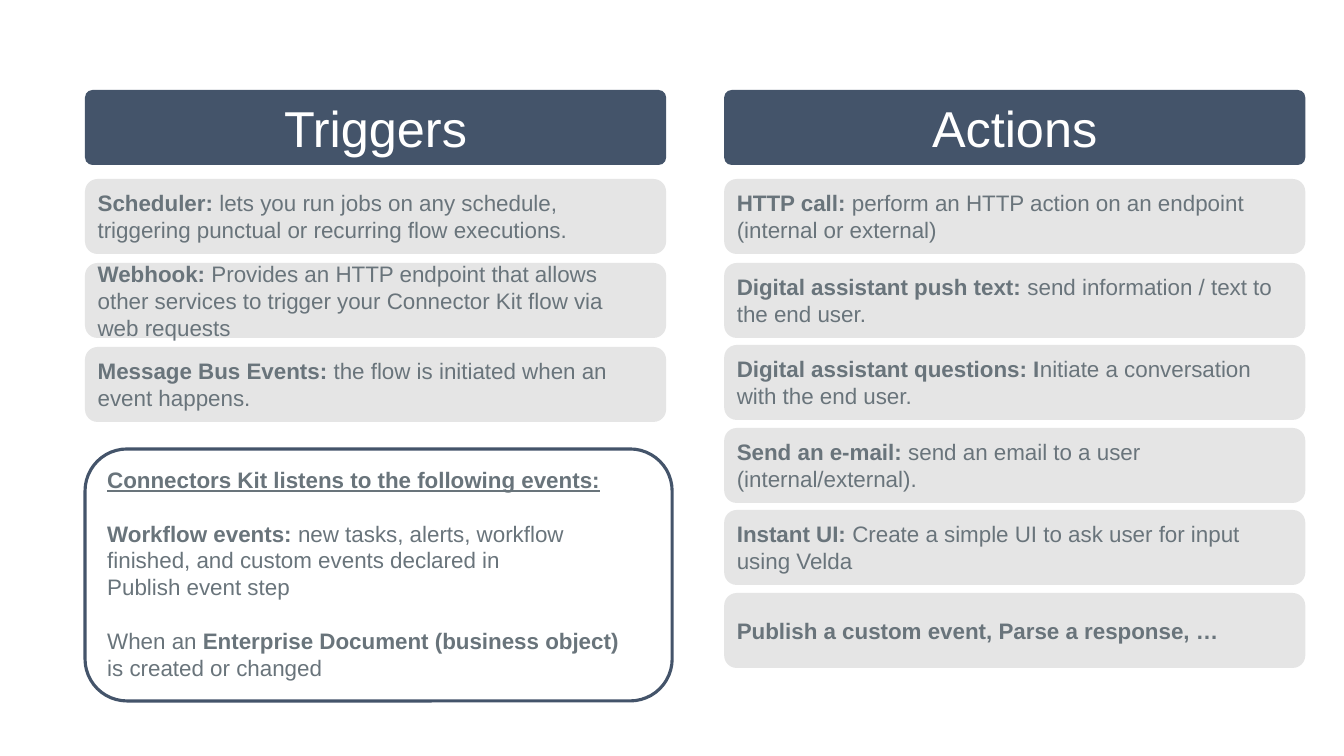
from lxml import etree
from pptx import Presentation
from pptx import util as u
from pptx.dml.color import RGBColor
from pptx.enum import shapes, text
from pptx.oxml import ns

# Content: each run is (text, style); lengths are px, sizes are points
BOLD, PLAIN, UNDERLINED = "bold", "plain", "underlined"
COLUMNS = [
    ("Triggers", 85, [
        (179, [("Scheduler: ", BOLD),
               ("lets you run jobs on any schedule, triggering punctual or recurring flow executions.", PLAIN)]),
        (263, [("Webhook: ", BOLD),
               ("Provides an HTTP endpoint that allows other services to trigger your Connector Kit flow via \n"
                "web requests", PLAIN)]),
        (347, [("Message Bus Events: ", BOLD),
               ("the flow is initiated when an event happens.", PLAIN)]),
    ]),
    ("Actions", 724, [
        (179, [("HTTP call: ", BOLD),
               ("perform an HTTP action on an endpoint (internal or external)", PLAIN)]),
        (263, [("Digital assistant push text: ", BOLD),
               ("send information / text to the end user.", PLAIN)]),
        (345, [("Digital assistant questions: I", BOLD),
               ("nitiate a conversation with the end user.", PLAIN)]),
        (428, [("Send an e-mail: ", BOLD),
               ("send an email to a user (internal/external).", PLAIN)]),
        (510, [("Instant UI: ", BOLD),
               ("Create a simple UI to ask user for input using Velda", PLAIN)]),
        (593, [("Publish a custom event, Parse a response, …", BOLD)]),
    ]),
]
EVENTS = [
    [("Connectors Kit listens to the following events:", UNDERLINED)],
    [("Workflow events: ", BOLD),
     ("new tasks, alerts, workflow finished, and custom events declared in \nPublish event step", PLAIN)],
    [("When an ", PLAIN), ("Enterprise Document (business object)\n", BOLD),
     ("is created or changed", PLAIN)],
]
EVENTS_BOX = (85, 449, 587, 252)
HEADER_TOP, CARD_WIDTH, CARD_HEIGHT = 90, 581, 75
NAVY, GREY, TEXT_GREY, WHITE = "44546A", "CCCCCC", "69747B", "FFFFFF"
FONT = "Arial"
EMU_PER_PX = 914400 / 100.8


def px(length):
    return u.Emu(round(length * EMU_PER_PX))


def color(value):
    return RGBColor.from_string(value)


def add_box(slide, box, fill):
    shape = slide.shapes.add_shape(shapes.MSO_SHAPE.ROUNDED_RECTANGLE, *map(px, box))
    shape.shadow.inherit = False
    shape.fill.solid()
    shape.fill.fore_color.rgb = color(fill)
    shape.line.fill.background()
    shape.text_frame.word_wrap = True
    shape.text_frame.vertical_anchor = text.MSO_ANCHOR.MIDDLE
    return shape


def make_half_transparent(shape):
    fill_color = shape.fill._xPr.find(".//" + ns.qn("a:srgbClr"))
    etree.SubElement(fill_color, ns.qn("a:alpha")).set("val", "50000")


def write_runs(paragraph, runs, size=16, font_color=TEXT_GREY):
    for content, style in runs:
        for index, line in enumerate(content.split("\n")):
            if index:
                paragraph.add_line_break()
            if not line:
                continue
            run = paragraph.add_run()
            run.text = line
            run.font.name = FONT
            run.font.size = u.Pt(size)
            run.font.color.rgb = color(font_color)
            run.font.bold = style != PLAIN
            run.font.underline = style == UNDERLINED


def add_header(slide, title, left):
    shape = add_box(slide, (left, HEADER_TOP, CARD_WIDTH, CARD_HEIGHT), NAVY)
    shape.adjustments[0] = 0.1
    paragraph = shape.text_frame.paragraphs[0]
    paragraph.alignment = text.PP_ALIGN.CENTER
    paragraph.space_before, paragraph.space_after = u.Pt(6), u.Pt(12)
    write_runs(paragraph, [(title, PLAIN)], 36, WHITE)


def add_card(slide, runs, left, top):
    shape = add_box(slide, (left, top, CARD_WIDTH, CARD_HEIGHT), GREY)
    make_half_transparent(shape)
    frame = shape.text_frame
    frame.margin_left = frame.margin_right = frame.margin_top = frame.margin_bottom = px(9)
    paragraph = frame.paragraphs[0]
    paragraph.alignment = text.PP_ALIGN.LEFT
    paragraph.space_before, paragraph.space_after = u.Pt(6), u.Pt(12)
    write_runs(paragraph, runs)


def add_events(slide):
    shape = add_box(slide, EVENTS_BOX, WHITE)
    shape.line.color.rgb = color(NAVY)
    shape.line.width = u.Pt(2.25)
    frame = shape.text_frame
    frame.vertical_anchor = text.MSO_ANCHOR.TOP
    for index, runs in enumerate(EVENTS):
        paragraph = frame.add_paragraph() if index else frame.paragraphs[0]
        paragraph.alignment = text.PP_ALIGN.LEFT
        paragraph.space_before = u.Pt(19 if index else 6)
        write_runs(paragraph, runs)


def main():
    presentation = Presentation()
    presentation.slide_width, presentation.slide_height = u.Inches(13.33), u.Inches(7.5)
    slide = presentation.slides.add_slide(presentation.slide_layouts[6])

    # Two columns of cards under their headers
    for title, left, cards in COLUMNS:
        add_header(slide, title, left)
        for top, runs in cards:
            add_card(slide, runs, left, top)

    # Outlined box with the event details
    add_events(slide)
    presentation.save("out.pptx")


if __name__ == "__main__":
    main()
